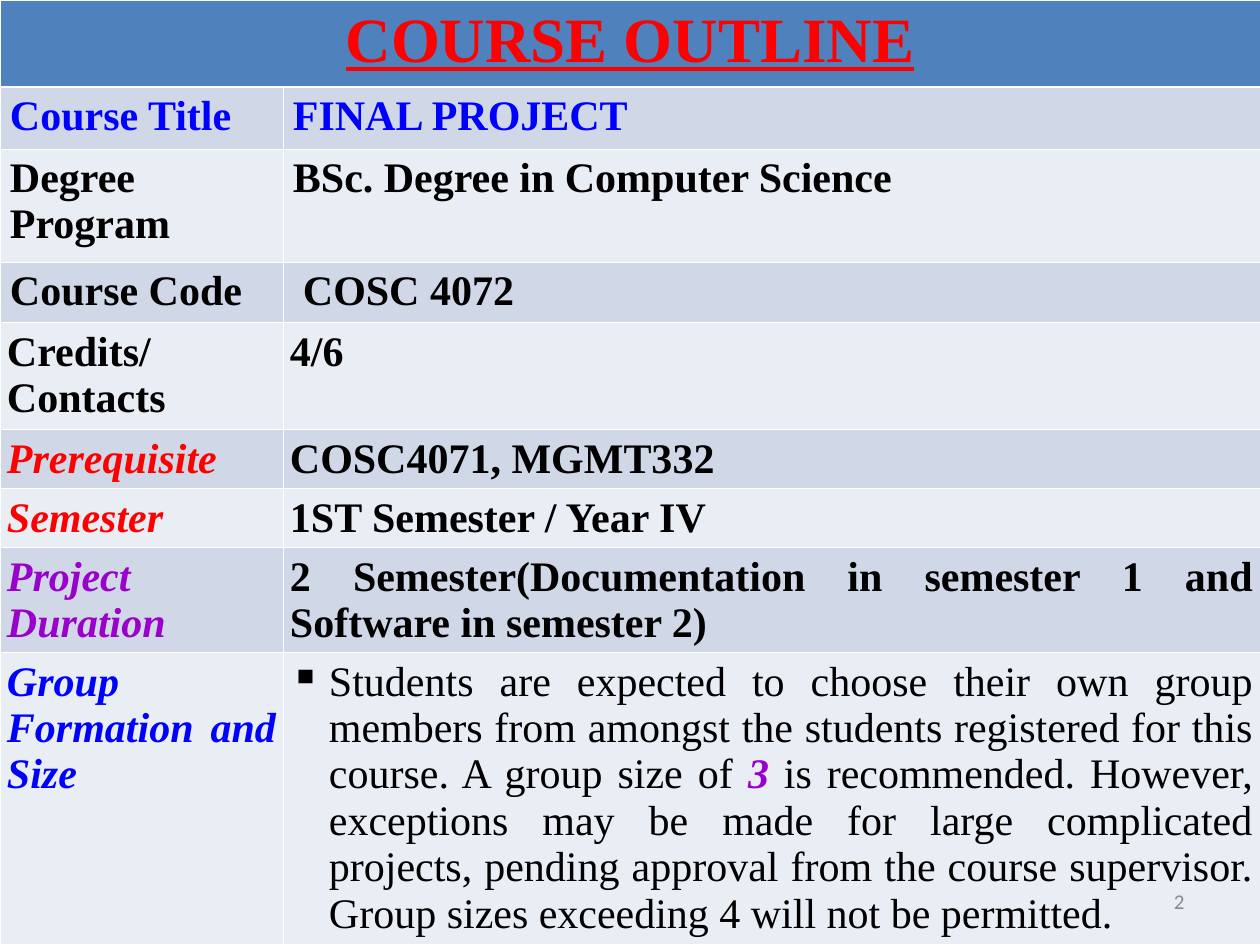
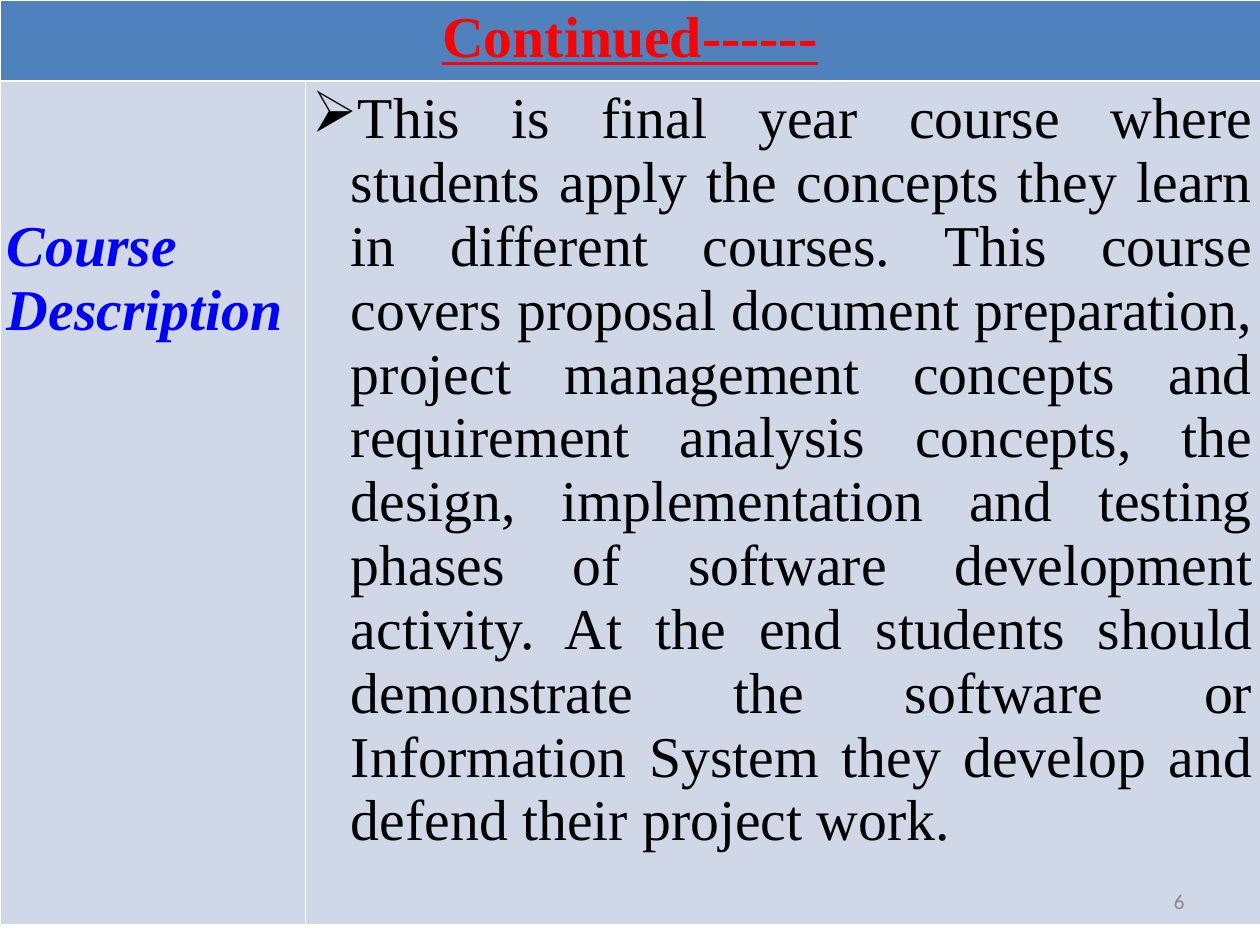
"""Build two course outline slides, each one a full-width table with a page number."""
from lxml import etree
from pptx import Presentation, util as u
from pptx.dml.color import RGBColor
from pptx.enum import text
from pptx.oxml import ns

RED, BLUE, PURPLE = "FF0000", "0000FF", "9900CC"
BLACK, WHITE, GREY = "000000", "FFFFFF", "898989"
HEADER, BANDS = "4F81BD", ("D0D8E8", "E9EDF4")
SERIF, SANS = "Times New Roman", "Calibri"
WIDE, NARROW = 10, 7
CENTER, RIGHT, JUSTIFY = (
    text.PP_ALIGN.CENTER, text.PP_ALIGN.RIGHT, text.PP_ALIGN.JUSTIFY)


def px(length):
    return u.Emu(round(length * 914400 / 126))


def rgb(color):
    return RGBColor.from_string(color)


def apply(target, values):
    for name, value in values.items():
        setattr(target, name, value)


class Outline:
    """Holds the deck's style and the current slide."""

    def __init__(self):
        self.deck = Presentation()
        apply(self.deck, {"slide_width": px(1260), "slide_height": px(945)})
        self.slide = None

    def new_slide(self):
        self.slide = self.deck.slides.add_slide(self.deck.slide_layouts[6])

    def add_words(self, paragraph, words, color=BLACK, align=JUSTIFY, **style):
        paragraph.alignment = align
        run = paragraph.add_run()
        run.text = words
        apply(run.font, {"name": SERIF, "bold": True, **style})
        run.font.color.rgb = rgb(color)

    def bullet(self, paragraph, mark):
        props = paragraph._p.get_or_add_pPr()
        props.set("marL", str(px(39)))
        props.set("indent", str(-px(39)))
        color = etree.SubElement(props, ns.qn("a:buClr"))
        etree.SubElement(color, ns.qn("a:srgbClr"), val=BLACK)
        etree.SubElement(props, ns.qn("a:buChar"), char=mark)

    def format_cell(self, cell, fill):
        cell.fill.solid()
        cell.fill.fore_color.rgb = rgb(fill)
        apply(cell, {"margin_left": px(NARROW), "margin_right": px(NARROW),
                     "margin_top": px(6), "margin_bottom": px(6)})

    def borders(self, cell, **widths):
        props = cell._tc.get_or_add_tcPr()
        for place, edge in enumerate("LRTB"):
            width = u.Pt(widths.get(edge, 0.45))
            line = etree.Element(ns.qn(f"a:ln{edge}"), w=str(width))
            fill = etree.SubElement(line, ns.qn("a:solidFill"))
            etree.SubElement(fill, ns.qn("a:srgbClr"), val=WHITE)
            props.insert(place, line)

    def table(self, heading, size, columns, heights):
        grid = self.slide.shapes.add_table(
            len(heights), len(columns), 0, 0, px(sum(columns)), px(sum(heights))).table
        apply(grid, {"first_row": False, "horz_banding": False})
        for column, width in zip(grid.columns, columns):
            column.width = px(width)
        for row, height in zip(grid.rows, heights):
            row.height = px(height)
        heavy_edges = {0: {"B": 1.47}, 1: {"T": 1.47}}
        for number, row in enumerate(grid.rows):
            for cell in row.cells:
                self.format_cell(cell, BANDS[(number - 1) % 2] if number else HEADER)
                self.borders(cell, **heavy_edges.get(number, {}))
        title = grid.cell(0, 0)
        title.merge(grid.cell(0, len(columns) - 1))
        self.add_words(title.text_frame.paragraphs[0], heading, RED, CENTER,
                       size=u.Pt(size), underline=True)
        return grid

    def fill_cell(self, cell, runs, size, mark=None):
        paragraph = cell.text_frame.paragraphs[0]
        for words, color, style in runs:
            self.add_words(paragraph, words, color, size=u.Pt(size), **style)
        if mark:
            self.bullet(paragraph, mark)

    def page_number(self, number):
        frame = self.slide.shapes.add_textbox(
            px(903), px(876), px(294), px(50)).text_frame
        apply(frame, {"word_wrap": True, "vertical_anchor": text.MSO_ANCHOR.MIDDLE})
        self.add_words(frame.paragraphs[0], number, GREY, RIGHT,
                       name=SANS, size=u.Pt(12), bold=False)


PLAIN, ITALIC = {"bold": False}, {"italic": True}

FACTS = [
    ("Course Title", BLUE, {}, "FINAL PROJECT", BLUE, WIDE),
    ("Degree Program", BLACK, {}, "BSc. Degree in Computer Science", BLACK, WIDE),
    ("Course Code", BLACK, {}, "COSC 4072", BLACK, WIDE),
    ("Credits/Contacts", BLACK, {}, "4/6", BLACK, NARROW),
    ("Prerequisite", RED, ITALIC, "COSC4071, MGMT332", BLACK, NARROW),
    ("Semester", RED, ITALIC, "1ST Semester / Year IV", BLACK, NARROW),
    ("Project Duration", PURPLE, ITALIC,
     "2 Semester(Documentation in semester 1 and Software in semester 2)",
     BLACK, NARROW),
]

GROUP_RULES = [
    ("Students are expected to choose their own group members from amongst the "
     "students registered for this course. A group size of ", BLACK, PLAIN),
    ("3", PURPLE, ITALIC),
    (" is recommended. However, exceptions may be made for large complicated "
     "projects, pending approval from the course supervisor. Group sizes "
     "exceeding 4 will not be permitted.", BLACK, PLAIN),
]

DESCRIPTION = (
    "This is final year course where students apply the concepts they learn in "
    "different courses. This course covers proposal document preparation, project "
    "management concepts and requirement analysis concepts, the design, "
    "implementation and testing phases of software development activity. At the "
    "end students should demonstrate the software or Information System they "
    "develop and defend their project work.")


def course_outline(outline):
    outline.new_slide()
    grid = outline.table("COURSE OUTLINE", 36, (283, 977),
                         (87, 62, 113, 61, 107, 59, 59, 105, 292))
    for row, (label, hue, style, value, value_hue, side) in enumerate(FACTS, 1):
        for column, run in enumerate([(label, hue, style), (value, value_hue, {})]):
            cell = grid.cell(row, column)
            apply(cell, {"margin_left": px(side), "margin_right": px(side)})
            outline.fill_cell(cell, [run], 24)
    grid.cell(3, 1).margin_left = px(20)
    outline.fill_cell(grid.cell(8, 0), [("Group Formation and Size", BLUE, ITALIC)], 24)
    outline.fill_cell(grid.cell(8, 1), GROUP_RULES, 24, "▪")
    outline.page_number("2")


def course_description(outline):
    outline.new_slide()
    grid = outline.table("Continued------", 33, (305, 955), (79, 832))
    label = grid.cell(1, 0)
    label.margin_top = px(134)
    outline.fill_cell(label, [("Course Description", BLUE, ITALIC)], 33)
    outline.fill_cell(grid.cell(1, 1), [(DESCRIPTION, BLACK, PLAIN)], 33, "➢")
    outline.page_number("6")


def main():
    outline = Outline()
    course_outline(outline)
    course_description(outline)
    outline.deck.save("out.pptx")


if __name__ == "__main__":
    main()
